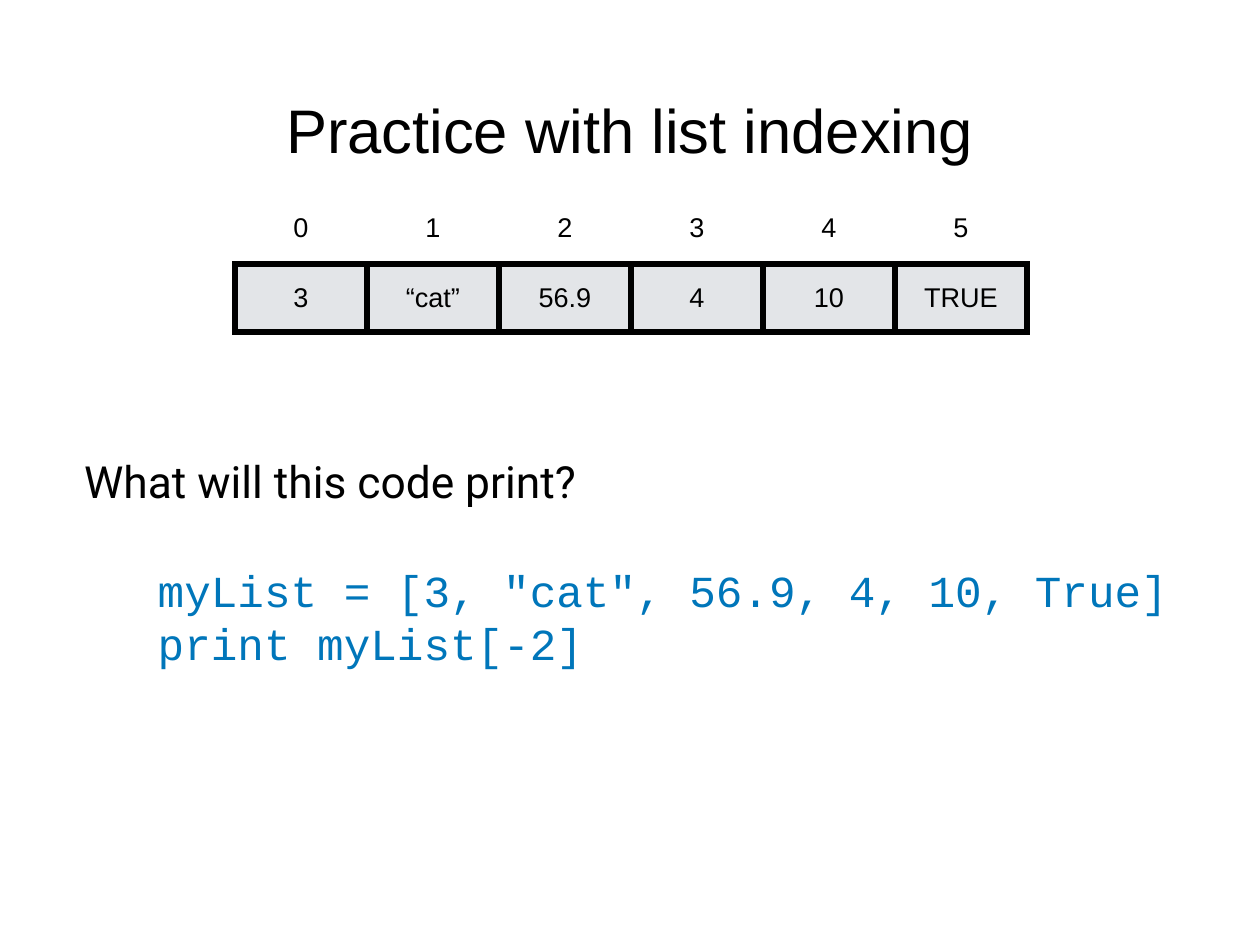
from lxml import etree
from pptx import Presentation
from pptx.dml.color import RGBColor
from pptx.enum import text
from pptx.oxml import ns
from pptx.util import Inches, Pt

BLACK = RGBColor(0x00, 0x00, 0x00)
WHITE = RGBColor(0xFF, 0xFF, 0xFF)
CELL_GRAY = RGBColor(0xE3, 0xE5, 0xE8)
CODE_BLUE = RGBColor(0x00, 0x76, 0xBA)
INSET = Inches(0.06)


def write_lines(frame, lines, font_name, size, color, align):
    frame.margin_left = frame.margin_right = INSET
    frame.margin_top = frame.margin_bottom = INSET
    frame.vertical_anchor = text.MSO_ANCHOR.MIDDLE
    frame.word_wrap = True
    for i, line in enumerate(lines):
        paragraph = frame.add_paragraph() if i else frame.paragraphs[0]
        paragraph.alignment = align
        run = paragraph.add_run()
        run.text = line
        run.font.name = font_name
        run.font.size = Pt(size)
        run.font.color.rgb = color


def add_border(cell, side):
    properties = cell._tc.get_or_add_tcPr()
    border = etree.SubElement(properties, ns.qn(f"a:ln{side}"), w=str(Pt(5)))
    fill = etree.SubElement(border, ns.qn("a:solidFill"))
    etree.SubElement(fill, ns.qn("a:srgbClr"), val=str(BLACK))


deck = Presentation()
deck.slide_width, deck.slide_height = Inches(14.22), Inches(10.67)
slide = deck.slides.add_slide(deck.slide_layouts[5])

# Title
title = slide.shapes.title
title.left, title.top = Inches(1.04), Inches(0.28)
title.width, title.height = Inches(12.14), Inches(2.36)
write_lines(title.text_frame, ["Practice with list indexing"],
            "Arial", 50, BLACK, text.PP_ALIGN.CENTER)
title.text_frame.auto_size = text.MSO_AUTO_SIZE.NONE

# List values under their indexes
values = ["3", "“cat”", "56.9", "4", "10", "TRUE"]
indexes = [str(i) for i in range(len(values))]
list_table = slide.shapes.add_table(
    2, len(values), Inches(2.65), Inches(2.18), Inches(8.94), Inches(1.57)).table
list_table.first_row = list_table.horz_banding = False
for column in list_table.columns:
    column.width = Inches(1.49)

row_styles = [(indexes, 0.8, WHITE, "B"), (values, 0.77, CELL_GRAY, "LRTB")]
for row, (entries, height, background, sides) in enumerate(row_styles):
    list_table.rows[row].height = Inches(height)
    for col, entry in enumerate(entries):
        cell = list_table.cell(row, col)
        cell.margin_left = cell.margin_right = INSET
        cell.margin_top = cell.margin_bottom = INSET
        cell.vertical_anchor = text.MSO_ANCHOR.MIDDLE
        for side in sides:
            add_border(cell, side)
        cell.fill.solid()
        cell.fill.fore_color.rgb = background
        paragraph = cell.text_frame.paragraphs[0]
        paragraph.alignment = text.PP_ALIGN.CENTER
        run = paragraph.add_run()
        run.text = entry
        run.font.name = "Arial"
        run.font.size = Pt(22)
        run.font.color.rgb = BLACK

# Question
question = slide.shapes.add_textbox(Inches(0.89), Inches(5.07), Inches(5.79), Inches(0.71))
write_lines(question.text_frame, ["What will this code print?"],
            "Roboto", 36, BLACK, text.PP_ALIGN.LEFT)

# Code
code = slide.shapes.add_textbox(Inches(1.72), Inches(6.33), Inches(12.13), Inches(1.26))
write_lines(code.text_frame,
            ['myList = [3, "cat", 56.9, 4, 10, True]', "print myList[-2]"],
            "Courier New", 36, CODE_BLUE, text.PP_ALIGN.LEFT)

deck.save("out.pptx")
